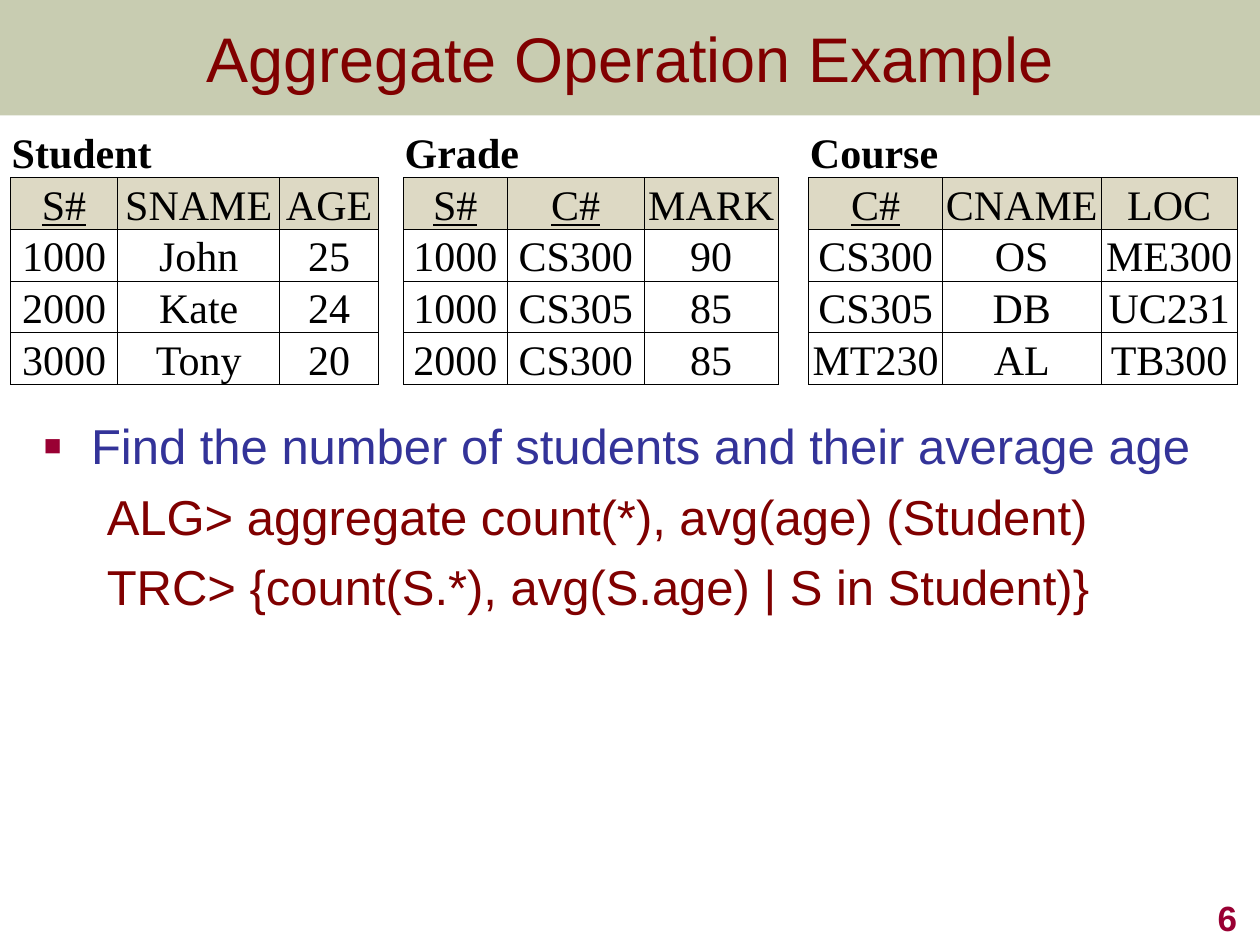
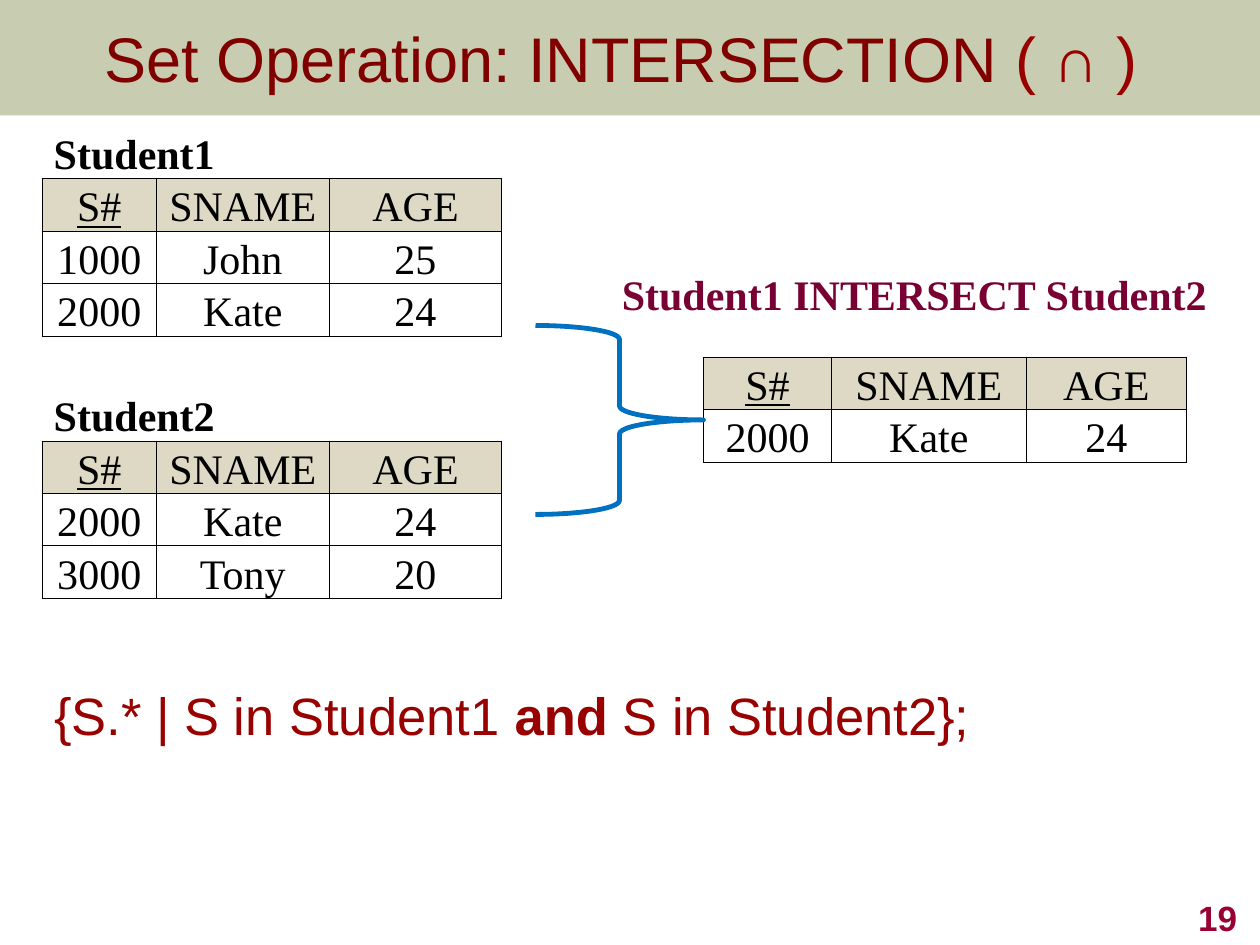
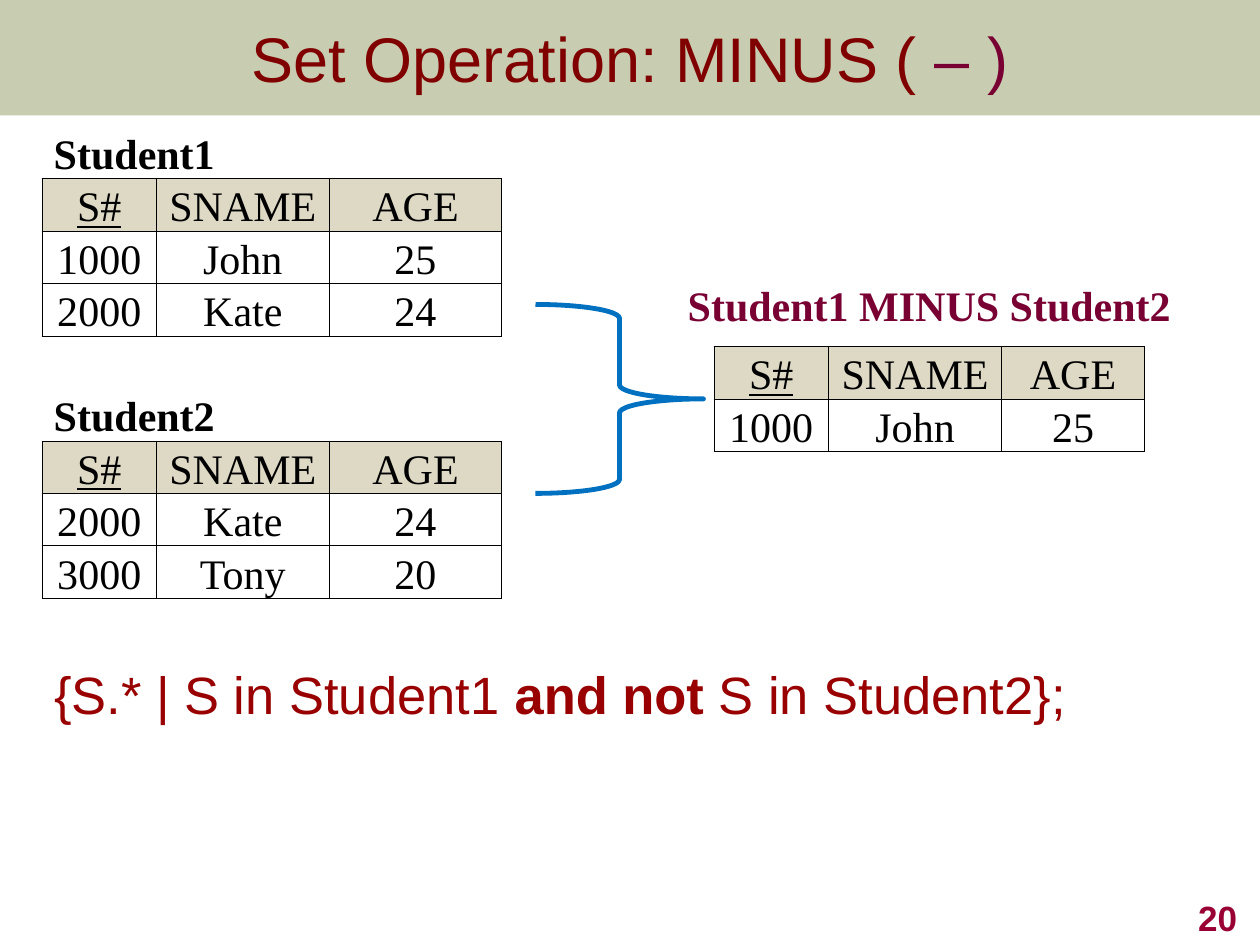
from lxml import etree
from pptx import Presentation
from pptx import util as u
from pptx.dml import color
from pptx.enum import shapes, text
from pptx.oxml import ns

Pt = u.Pt
WIDTH, HEIGHT = 720, 540
BAND_HEIGHT = 66
SANS, SERIF = "Arial", "Times New Roman"
COLOURS = {
    "band": "677228",
    "title": "800000",
    "code": "990000",
    "accent": "990033",
    "result": "790033",
    "question": "333399",
    "brace": "0070C0",
    "header": "DDD9C4",
    "white": "FFFFFF",
    "black": "000000",
}
KEYS = ("S#", "C#")
STUDENT_HEADER = ("header", ["S#", "SNAME", "AGE"])
JOHN = ("body", ["1000", "John", "25"])
KATE = ("body", ["2000", "Kate", "24"])
TONY = ("body", ["3000", "Tony", "20"])


def rgb(name):
    return color.RGBColor.from_string(COLOURS[name])


def add_xml(parent, tag, **attributes):
    return etree.SubElement(parent, ns.qn(tag), attributes)


# ---- Text ----
def add_span(para, words, size, colour, font=SANS, bold=False, underline=False):
    span = para.add_run()
    span.text = words
    span.font.size = Pt(size)
    span.font.name = font
    span.font.bold = bold
    span.font.underline = underline
    span.font.color.rgb = rgb(colour)


def add_box(page, left, top, width, height, anchor=text.MSO_ANCHOR.TOP,
            wrap=True, right_inset=7.2):
    box = page.shapes.add_textbox(Pt(left), Pt(top), Pt(width), Pt(height))
    frame = box.text_frame
    frame.word_wrap = wrap
    frame.vertical_anchor = anchor
    frame.margin_right = Pt(right_inset)
    return frame


def indent(para, margin, first_line=0):
    props = para._p.get_or_add_pPr()
    props.set("marL", str(Pt(margin)))
    props.set("indent", str(Pt(first_line)))


def add_square_bullet(para):
    props = para._p.get_or_add_pPr()
    add_xml(add_xml(props, "a:buClr"), "a:srgbClr", val=COLOURS["accent"])
    add_xml(props, "a:buSzPct", val="60000")
    add_xml(props, "a:buFont", typeface=SANS)
    add_xml(props, "a:buChar", char="\u25a0")


# ---- Parts on every slide ----
def add_page(deck, title_spans, number):
    page = deck.slides.add_slide(deck.slide_layouts[6])

    band = page.shapes.add_shape(shapes.MSO_SHAPE.RECTANGLE, 0, 0,
                                 Pt(WIDTH), Pt(BAND_HEIGHT))
    band.shadow.inherit = False
    band.fill.solid()
    band.fill.fore_color.rgb = rgb("band")
    tint = band._element.spPr.find(".//" + ns.qn("a:srgbClr"))
    add_xml(tint, "a:alpha", val="36000")
    band.line.fill.background()

    title = add_box(page, 0, 0, WIDTH, BAND_HEIGHT, text.MSO_ANCHOR.MIDDLE)
    para = title.paragraphs[0]
    para.alignment = text.PP_ALIGN.CENTER
    for words, colour in title_spans:
        add_span(para, words, 36, colour)

    footer = add_box(page, 564, 504, 150, 36, text.MSO_ANCHOR.BOTTOM)
    para = footer.paragraphs[0]
    para.alignment = text.PP_ALIGN.RIGHT
    add_span(para, number, 20, "accent", bold=True)
    return page


# ---- Tables ----
def is_ruled(rows, row, column):
    """Header and body cells with a value have rules on all four sides."""
    if not (0 <= row < len(rows) and 0 <= column < len(rows[row][1])):
        return False
    kind, values = rows[row]
    return kind != "caption" and values[column] is not None


def add_borders(cell, rows, row, column):
    props = cell._tc.get_or_add_tcPr()
    neighbours = {
        "a:lnL": (row, column - 1),
        "a:lnR": (row, column + 1),
        "a:lnT": (row - 1, column),
        "a:lnB": (row + 1, column),
    }
    for tag, neighbour in neighbours.items():
        if is_ruled(rows, row, column) or is_ruled(rows, *neighbour):
            line = add_xml(props, tag, w=str(Pt(0.5)))
            fill = add_xml(line, "a:solidFill")
            add_xml(fill, "a:srgbClr", val=COLOURS["black"])
        else:
            add_xml(add_xml(props, tag, w="0"), "a:noFill")


def add_table(page, left, top, widths, row_height, rows,
              caption_span=1, caption_inset=0.7):
    table = page.shapes.add_table(
        len(rows), len(widths), Pt(left), Pt(top),
        Pt(sum(widths)), Pt(row_height * len(rows))).table
    table.first_row = table.horz_banding = False
    for column, width in zip(table.columns, widths):
        column.width = Pt(width)
    for r, (kind, values) in enumerate(rows):
        table.rows[r].height = Pt(row_height)
        for c, value in enumerate(values):
            cell = table.cell(r, c)
            caption = kind == "caption"
            add_borders(cell, rows, r, c)
            cell.fill.solid()
            shaded = kind == "header" and value is not None
            cell.fill.fore_color.rgb = rgb("header" if shaded else "white")
            cell.vertical_anchor = text.MSO_ANCHOR.BOTTOM
            cell.margin_left = Pt(caption_inset if caption else 0.7)
            cell.margin_right = cell.margin_top = Pt(0.7)
            cell.margin_bottom = 0
            if value is None:
                continue
            para = cell.text_frame.paragraphs[0]
            if not caption:
                para.alignment = text.PP_ALIGN.CENTER
            add_span(para, value, 24, "black", SERIF, bold=caption,
                     underline=value in KEYS)
            if caption:
                cell.merge(table.cell(r, c + caption_span - 1))


# ---- Slides ----
def aggregate_slide(deck):
    page = add_page(deck, [("Aggregate Operation Example", "title")], "6")

    body = add_box(page, 18, 234, 667, 222, right_inset=0)
    lines = [
        ("Find the number of students and their average age", "question"),
        ("ALG> aggregate count(*), avg(age) (Student)", "title"),
        ("TRC> {count(S.*), avg(S.age) | S in Student)}", "title"),
    ]
    for i, (words, colour) in enumerate(lines):
        para = body.add_paragraph() if i else body.paragraphs[0]
        para.space_before = Pt(6.7)
        if i:
            indent(para, 36)
        else:
            indent(para, 27, -27)
            add_square_bullet(para)
        add_span(para, words, 28, colour)

    # Three relations side by side, None marking the gaps
    rows = [
        ("caption", ["Student", None, None, None, "Grade", None, None, None,
                     "Course", None, None]),
        ("header", ["S#", "SNAME", "AGE", None, "S#", "C#", "MARK", None,
                    "C#", "CNAME", "LOC"]),
        ("body", ["1000", "John", "25", None, "1000", "CS300", "90", None,
                  "CS300", "OS", "ME300"]),
        ("body", ["2000", "Kate", "24", None, "1000", "CS305", "85", None,
                  "CS305", "DB", "UC231"]),
        ("body", ["3000", "Tony", "20", None, "2000", "CS300", "85", None,
                  "MT230", "AL", "TB300"]),
    ]
    widths = [61.2, 92.7, 56.3, 14.4, 59.2, 78.4, 76.5, 17.5, 76.5, 90.5, 78]
    add_table(page, 6, 72, widths, 27.4, rows, caption_span=3)


def set_operation_slide(deck, title_spans, number, formula, formula_top,
                        result, result_place, result_widths, result_row,
                        label_place, brace_top):
    page = add_page(deck, title_spans, number)

    # Formula
    para = add_box(page, 24, formula_top, 624, 47, right_inset=0).paragraphs[0]
    para.line_spacing = 0.9
    para.space_before = Pt(7.2)
    indent(para, 27, -27)
    for words, bold in formula:
        add_span(para, words, 30, "code", bold=bold)

    # Result relation and its label
    add_table(page, *result_place, result_widths, 30,
              [STUDENT_HEADER, result_row])
    label = add_box(page, *label_place, 36, wrap=False).paragraphs[0]
    label.alignment = text.PP_ALIGN.CENTER
    add_span(label, result, 24, "result", SERIF, bold=True)

    # Brace from the operands to the result
    brace = page.shapes.add_shape(shapes.MSO_SHAPE.RIGHT_BRACE, Pt(306),
                                  Pt(brace_top), Pt(96), Pt(108))
    brace.shadow.inherit = False
    brace.fill.background()
    brace.line.color.rgb = rgb("brace")
    brace.line.width = Pt(2.75)

    # Operand relations
    operands = [
        ("caption", ["Student1", None, None]), STUDENT_HEADER, JOHN, KATE,
        ("body", [None, None, None]),
        ("caption", ["Student2", None, None]), STUDENT_HEADER, KATE, TONY,
    ]
    add_table(page, 24, 72, [65.4, 98.7, 98.7], 30, operands,
              caption_span=2, caption_inset=6.7)


def main():
    deck = Presentation()
    deck.slide_width, deck.slide_height = Pt(WIDTH), Pt(HEIGHT)
    aggregate_slide(deck)
    set_operation_slide(
        deck,
        [("Set Operation: INTERSECTION ", "title"), ("( \u2229 ) ", "code")],
        "19",
        formula=[("{S.* | S in Student1 ", False), ("and", True),
                 (" S in Student2};", False)],
        formula_top=391,
        result="Student1 INTERSECT Student2",
        result_place=(402, 204), result_widths=[73.2, 111.2, 91.6],
        result_row=KATE, label_place=(346, 150, 353), brace_top=186)
    set_operation_slide(
        deck,
        [("Set Operation: MINUS ( ", "title"), ("\u2013 )", "result")],
        "20",
        formula=[("{S.* | S in Student1 ", False), ("and not ", True),
                 ("S in Student2};", False)],
        formula_top=379,
        result="Student1 MINUS Student2",
        result_place=(408, 198), result_widths=[65.4, 99, 81.6],
        result_row=JOHN, label_place=(384, 156, 294), brace_top=174)
    deck.save("out.pptx")


main()
